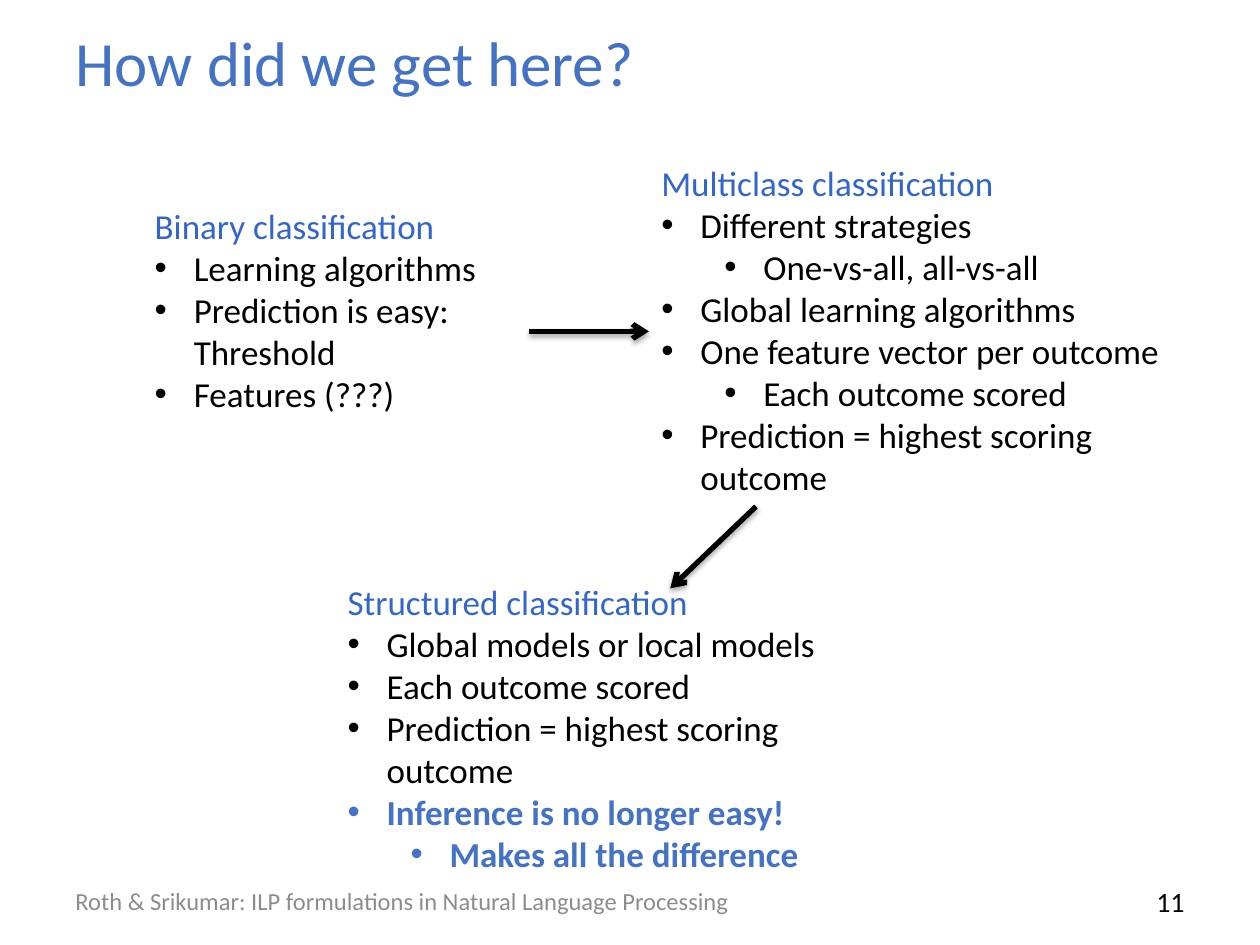
from lxml.etree import SubElement
from pptx import Presentation
from pptx.dml.color import RGBColor
from pptx.enum.shapes import MSO_CONNECTOR as Connector
from pptx.enum.text import MSO_ANCHOR as Anchor, PP_ALIGN as Align
from pptx.oxml.ns import qn
from pptx.util import Inches, Pt

FONT = "Calibri"
BLACK = RGBColor(0x00, 0x00, 0x00)
GRAY = RGBColor(0x8C, 0x8C, 0x8C)
HEADING_BLUE = RGBColor(0x33, 0x66, 0xCC)
ACCENT_BLUE = RGBColor(0x44, 0x72, 0xC4)

BINARY = ("Binary classification", [
    (0, "Learning algorithms", False),
    (0, "Prediction is easy: Threshold", False),
    (0, "Features (???)", False),
])
MULTICLASS = ("Multiclass classification", [
    (0, "Different strategies", False),
    (1, "One-vs-all, all-vs-all", False),
    (0, "Global learning algorithms", False),
    (0, "One feature vector per outcome", False),
    (1, "Each outcome scored", False),
    (0, "Prediction = highest scoring outcome", False),
])
STRUCTURED = ("Structured classification", [
    (0, "Global models or local models", False),
    (0, "Each outcome scored", False),
    (0, "Prediction = highest scoring outcome", False),
    (0, "Inference is no longer easy!", True),
    (1, "Makes all the difference", True),
])


def style_para(para, size, color, bold=False, align=Align.LEFT):
    para.alignment = align
    for span in para.runs:
        span.font.name = FONT
        span.font.size = Pt(size)
        span.font.color.rgb = color
        span.font.bold = bold


def add_bullet(para, level):
    para.level = level
    props = para._p.get_or_add_pPr()
    props.set("marL", str(Inches(0.31 + 0.5 * level)))
    props.set("indent", str(Inches(-0.31)))
    SubElement(props, qn("a:buFont")).set("typeface", "Arial")
    SubElement(props, qn("a:buChar")).set("char", "•")


def add_title(page, left, top, width, height, text):
    title = page.shapes.title
    title.left, title.top = Inches(left), Inches(top)
    title.width, title.height = Inches(width), Inches(height)
    title.text_frame.text = text
    title.text_frame.vertical_anchor = Anchor.MIDDLE
    style_para(title.text_frame.paragraphs[0], 36, ACCENT_BLUE)


def add_text_box(page, left, top, width, height, text):
    box = page.shapes.add_textbox(
        Inches(left), Inches(top), Inches(width), Inches(height))
    box.text_frame.word_wrap = True
    box.text_frame.text = text
    return box.text_frame


def add_footer(page, left, top, width, height, note, number):
    number_width = 2.33
    parts = [
        (left, 6.08, note, 14, GRAY, Align.LEFT),
        (left + width - number_width, number_width, number, 16, BLACK, Align.RIGHT),
    ]
    for part_left, part_width, text, size, color, align in parts:
        frame = add_text_box(page, part_left, top, part_width, height, text)
        frame.vertical_anchor = Anchor.MIDDLE
        style_para(frame.paragraphs[0], size, color, align=align)


def add_topic(page, left, top, width, height, topic):
    heading, items = topic
    frame = add_text_box(page, left, top, width, height, heading)
    style_para(frame.paragraphs[0], 20, HEADING_BLUE)
    for level, text, strong in items:
        para = frame.add_paragraph()
        para.text = text
        add_bullet(para, level)
        style_para(para, 20, ACCENT_BLUE if strong else BLACK, strong)


def add_arrow(page, start, end):
    arrow = page.shapes.add_connector(
        Connector.STRAIGHT, *(Inches(value) for value in start + end))
    arrow.line.color.rgb = BLACK
    arrow.line.width = Pt(3)
    SubElement(arrow.line._get_or_add_ln(), qn("a:tailEnd")).set("type", "arrow")
    effects = SubElement(arrow._element.spPr, qn("a:effectLst"))
    shadow = SubElement(
        effects, qn("a:outerShdw"), blurRad=str(Pt(3.1)), dist=str(Pt(1.8)),
        dir="5400000", rotWithShape="0")
    color = SubElement(shadow, qn("a:srgbClr"), val=str(BLACK))
    SubElement(color, qn("a:alpha"), val="35000")


deck = Presentation()
deck.slide_width, deck.slide_height = Inches(10), Inches(7.5)
page = deck.slides.add_slide(deck.slide_layouts[5])

add_title(page, 0.5, 0.15, 9, 0.68, "How did we get here?")
add_footer(page, 0.5, 6.95, 9, 0.4,
           "Roth & Srikumar: ILP formulations in Natural Language Processing", "11")
add_topic(page, 1.13, 1.57, 3.07, 2.12, BINARY)
add_topic(page, 5.15, 1.23, 4.68, 2.79, MULTICLASS)
add_topic(page, 2.66, 4.56, 4.68, 2.46, STRUCTURED)
add_arrow(page, (4.2, 2.63), (5.15, 2.63))
add_arrow(page, (6, 4.02), (5.32, 4.67))

deck.save("out.pptx")
